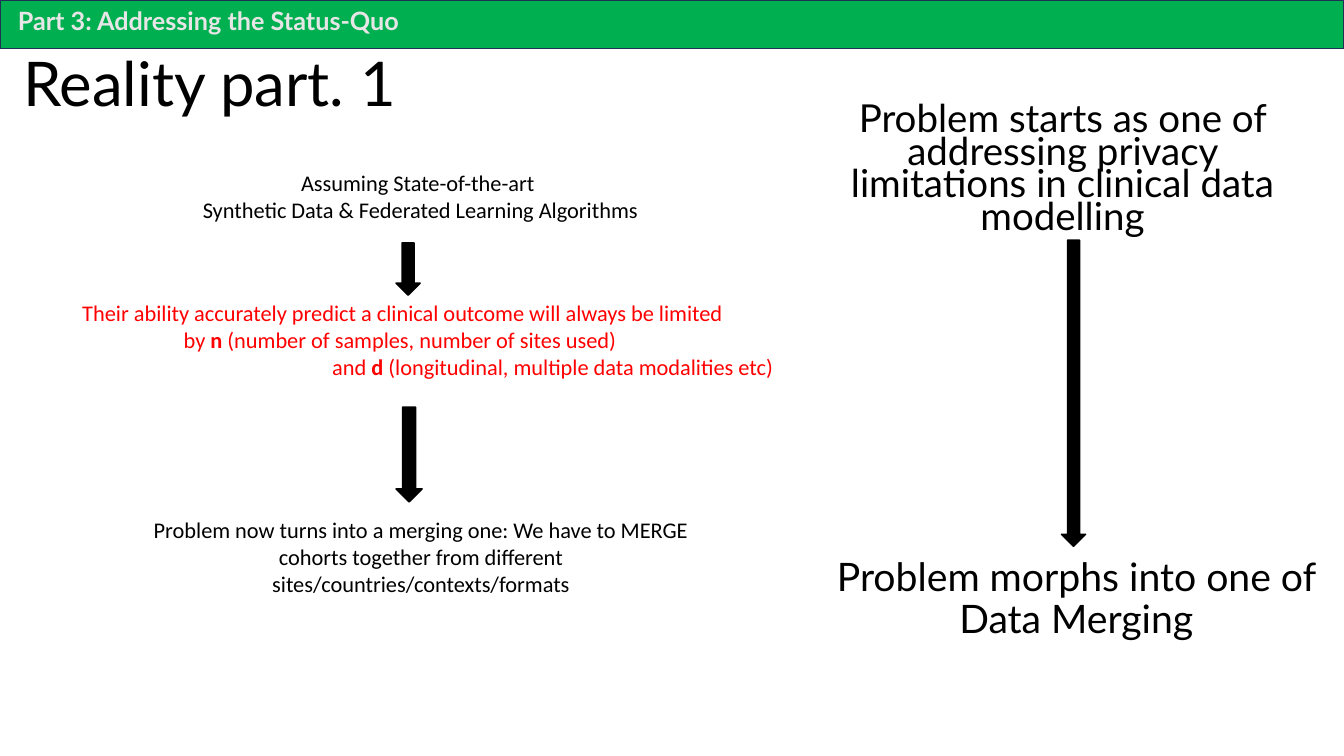
from dataclasses import dataclass

from pptx import Presentation
from pptx.dml.color import RGBColor
from pptx.enum.shapes import MSO_SHAPE
from pptx.enum.text import MSO_ANCHOR, MSO_AUTO_SIZE, PP_ALIGN
from pptx.util import Cm, Pt

ARROW, RECT = MSO_SHAPE.DOWN_ARROW, MSO_SHAPE.RECTANGLE
TOP, MID = MSO_ANCHOR.TOP, MSO_ANCHOR.MIDDLE
LEFT, MIDDLE = PP_ALIGN.LEFT, PP_ALIGN.CENTER
FIXED = MSO_AUTO_SIZE.NONE


@dataclass(frozen=True)
class Theme:
    black: str = "000000"
    red: str = "FF0000"
    green: str = "00B050"
    navy: str = "1E3256"
    pale: str = "E7E6E6"
    head: str = "Lato"
    body: str = "Calibri"
    title: float = 44
    start: float = 27.5
    end: float = 28
    bar: float = 18
    note: float = 16


THEME = Theme()


@dataclass(frozen=True)
class Box:
    x: float
    y: float
    w: float
    h: float

    def inner(self, x, y, w, h):
        return Box(self.x + x, self.y + y, w, h)

    def cm(self):
        return [Cm(v) for v in (self.x, self.y, self.w, self.h)]


def write(shape, lines, size, color, font, align=MIDDLE, anchor=TOP, space=None):
    frame = shape.text_frame
    frame.word_wrap = True
    frame.auto_size = FIXED
    frame.vertical_anchor = anchor
    for i, runs in enumerate(lines):
        para = frame.paragraphs[0] if i == 0 else frame.add_paragraph()
        para.alignment = align
        para.line_spacing = space
        for text, bold in runs:
            run = para.add_run()
            run.text = text
            run.font.name = font
            run.font.size = Pt(size)
            run.font.bold = bold
            run.font.color.rgb = RGBColor.from_string(color)
    return frame


def label(slide, box, lines, *style, **more):
    return write(slide.shapes.add_textbox(*box.cm()), lines, *style, **more)


def solid(slide, kind, box, fill, line):
    shape = slide.shapes.add_shape(kind, *box.cm())
    shape.shadow.inherit = False
    shape.fill.solid()
    shape.fill.fore_color.rgb = RGBColor.from_string(fill)
    shape.line.color.rgb = RGBColor.from_string(line)
    shape.line.width = Pt(1)


def arrow(slide, box):
    solid(slide, ARROW, box, THEME.black, THEME.black)


def title(slide, box):
    shape = slide.shapes.title
    shape.left, shape.top, shape.width, shape.height = box.cm()
    write(shape, [[("Reality part. 1", False)]], THEME.title, THEME.black,
          THEME.head, align=LEFT, anchor=MID, space=0.9)


def banner(slide, box):
    solid(slide, RECT, box, THEME.green, THEME.navy)
    label(slide, box.inner(0.2, 0, 15.7, 1.02),
          [[("Part 3: Addressing the Status-Quo", True)]],
          THEME.bar, THEME.pale, THEME.head, align=LEFT)


def steps(slide, box):
    plain = THEME.note, THEME.black, THEME.body
    label(slide, box.inner(0.31, 0, 19.91, 1.63), [
        [("Assuming State-of-the-art ", False)],
        [("Synthetic Data & Federated Learning Algorithms", False)],
    ], *plain)
    limits = label(slide, box.inner(0, 3.28, 19.63, 2.31), [
        [("Their ability accurately predict a clinical outcome will always be limited", False)],
        [("by ", False), ("n ", True),
         ("(number of samples, number of sites used) ", False)],
        [("and ", False), ("d ", True),
         ("(longitudinal, multiple data modalities etc)", False)],
    ], THEME.note, THEME.red, THEME.body)
    last = limits.paragraphs[-1]._p.get_or_add_pPr()
    last.set("marL", str(Cm(7.57)))
    last.set("indent", "0")
    label(slide, box.inner(2.95, 8.74, 14.66, 2.31), [
        [("Problem now turns into a merging one: We have to MERGE cohorts "
          "together from different sites/countries/contexts/formats", False)],
    ], *plain)
    arrow(slide, box.inner(9.65, 1.98, 0.61, 1.32))
    arrow(slide, box.inner(9.65, 6.12, 0.66, 2.39))


def shift(slide, box):
    label(slide, box.inner(0, 0, 12.85, 3.68), [
        [("Problem starts as one of addressing privacy limitations "
          "in clinical data modelling", False)],
    ], THEME.start, THEME.black, THEME.head, anchor=MID, space=0.7)
    label(slide, box.inner(0.35, 10.79, 12.85, 3.68), [
        [("Problem morphs into one of Data Merging", False)],
    ], THEME.end, THEME.black, THEME.head, anchor=MID, space=0.9)
    arrow(slide, box.inner(6.4, 3.56, 0.61, 7.72))


def main():
    deck = Presentation()
    deck.slide_width, deck.slide_height = Cm(33.87), Cm(19.05)
    slide = deck.slides.add_slide(deck.slide_layouts[5])
    title(slide, Box(0.33, 0.33, 29.21, 3.68))
    steps(slide, Box(0.33, 4.14, 20.22, 11.05))
    shift(slide, Box(20.35, 2.49, 13.2, 14.47))
    banner(slide, Box(0, 0, 33.87, 1.22))
    deck.save("out.pptx")


if __name__ == "__main__":
    main()
